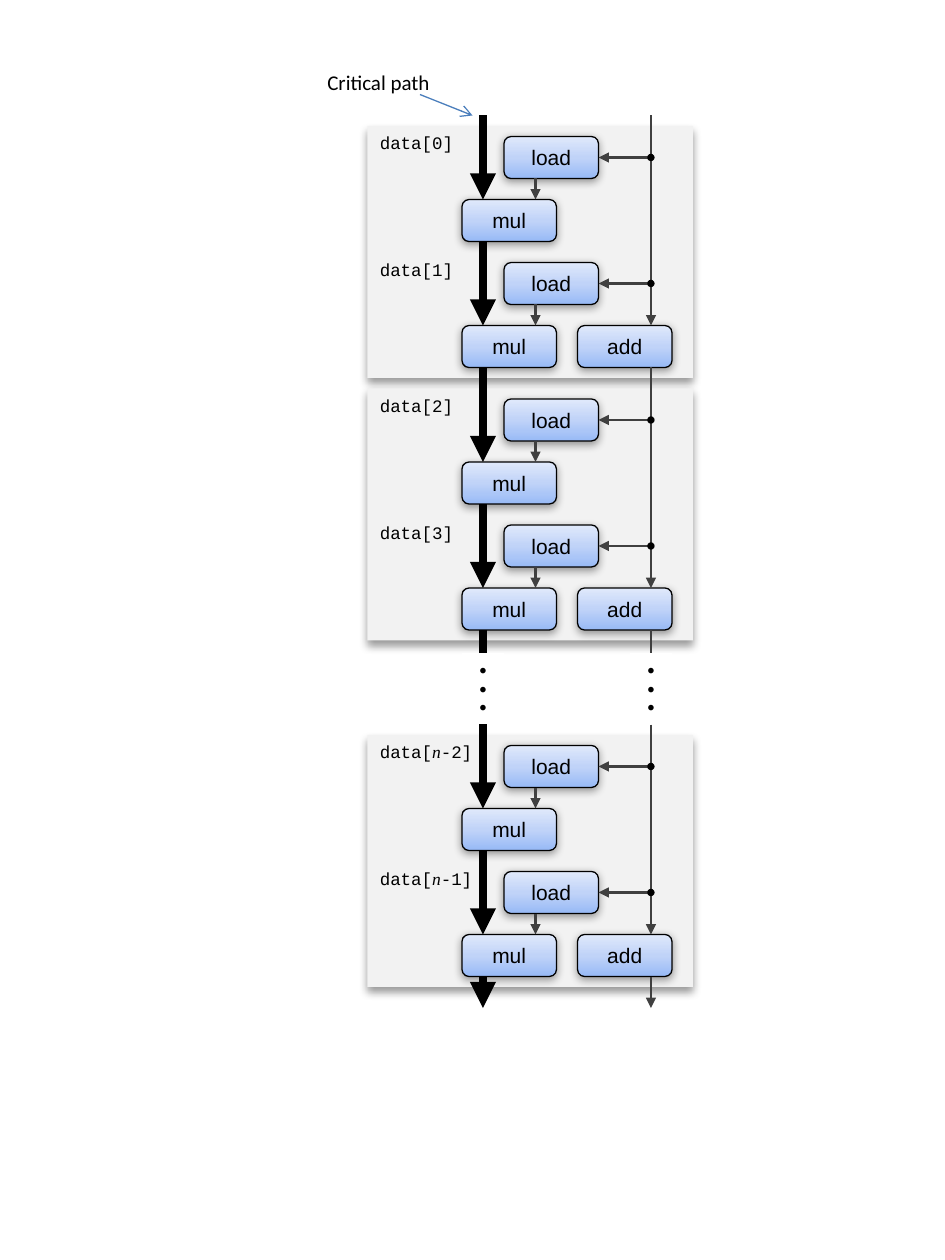
from lxml import etree
from copy import deepcopy
from pptx import Presentation
from pptx.dml.color import RGBColor
from pptx.enum.shapes import MSO_CONNECTOR, MSO_SHAPE
from pptx.enum.text import MSO_ANCHOR, PP_ALIGN
from pptx.oxml.ns import qn
from pptx.util import Inches, Pt

RECT, ROUNDED, OVAL = MSO_SHAPE.RECTANGLE, MSO_SHAPE.ROUNDED_RECTANGLE, MSO_SHAPE.OVAL
STRAIGHT = MSO_CONNECTOR.STRAIGHT
LEFT, CENTER = PP_ALIGN.LEFT, PP_ALIGN.CENTER
TOP, MIDDLE = MSO_ANCHOR.TOP, MSO_ANCHOR.MIDDLE
RIGHT_SIDE = 3

COLORS = {
    "black": "000000", "white": "FFFFFF", "panel": "F2F2F2",
    "flow": "404040", "callout": "4B7EBC",
    "op_low": "98BAF6", "op_mid": "C0D3F8", "op_high": "E0E9FB",
}
RGB = {name: RGBColor.from_string(value) for name, value in COLORS.items()}

CELL = Inches(1) // 12
CRITICAL, FEED, INDEX = 46, 51, 62
OP_WIDTH, OP_HEIGHT = 9, 4
DOT = 0.7

deck = Presentation()
deck.slide_width, deck.slide_height = 90 * CELL, 120 * CELL
slide = deck.slides.add_slide(deck.slide_layouts[6])


def draw_box(kind, col, row, cols, rows, fill, lines=(), font="Arial", size=12,
             align=CENTER, anchor=MIDDLE, shadow=None):
    box = slide.shapes.add_shape(kind, *(round(n * CELL) for n in (col, row, cols, rows)))
    box.shadow.inherit = False
    box.line.fill.background()
    box.fill.solid()
    box.fill.fore_color.rgb = RGB[fill]
    if shadow:
        opacity, distance = shadow
        effects = box._element.spPr.find(qn("a:effectLst"))
        outer = etree.SubElement(effects, qn("a:outerShdw"), blurRad=str(Pt(5)),
                                 dist=str(Pt(distance)), dir="5400000", rotWithShape="0")
        tint = etree.SubElement(outer, qn("a:srgbClr"), val=COLORS["black"])
        etree.SubElement(tint, qn("a:alpha"), val=str(opacity * 1000))
    frame = box.text_frame
    frame.word_wrap = True
    frame.vertical_anchor = anchor
    for number, line in enumerate(lines):
        paragraph = frame.add_paragraph() if number else frame.paragraphs[0]
        paragraph.alignment = align
        for text in line:
            run = paragraph.add_run()
            run.text = text
            run.font.italic = text == "n"
            run.font.name = "Times New Roman" if text == "n" else font
            run.font.size = Pt(size)
            run.font.color.rgb = RGB["black"]
    return box


def draw_flow(start, end, color="flow", width=1.5, head="triangle"):
    flow = slide.shapes.add_connector(STRAIGHT, *(n * CELL for n in start + end))
    flow.line.color.rgb = RGB[color]
    flow.line.width = Pt(width)
    etree.SubElement(flow.line._get_or_add_ln(), qn("a:tailEnd"), type=head)
    etree.SubElement(flow._element.spPr, qn("a:effectLst"))
    return flow


draw_flow((40, 9), (45, 11), "callout", 0.75, "arrow")
callout = slide.shapes.add_textbox(30 * CELL, 6 * CELL, 13 * CELL, round(3.6 * CELL))
caption = callout.text_frame.paragraphs[0].add_run()
caption.text = "Critical path"
caption.font.name = "Calibri"
caption.font.size = Pt(12)
caption.font.color.rgb = RGB["black"]

iterations = [
    (12, 11, 11, [["data[0]"], ["data[1]"]]),
    (37, 35, 35, [["data[2]"], ["data[3]"]]),
    (70, 60, 69, [["data[", "n", "-2]"], ["data[", "n", "-1]"]]),
]
for top, critical_start, index_start, elements in iterations:
    panel = draw_box(RECT, 35, top, 31, 24, "panel", elements, "Courier New", 10,
                     LEFT, TOP, (40, 3))
    panel.text_frame.paragraphs[1].space_before = Pt(60.7)

    operations = [("load", 48, 1), ("mul", 44, 7), ("load", 48, 13), ("mul", 44, 19),
                  ("add", 55, 19)]
    loads = []
    for name, col, offset in operations:
        operation = draw_box(ROUNDED, col, top + offset, OP_WIDTH, OP_HEIGHT, "op_mid",
                             [[name]], shadow=(38, 1.6))
        operation.line.color.rgb = RGB["black"]
        operation.line.width = Pt(0.75)
        operation.fill.gradient()
        operation.fill.gradient_angle = 90
        stops = operation._element.spPr.find(".//" + qn("a:gsLst"))
        stops.append(deepcopy(stops[0]))
        for stop, position, shade in zip(operation.fill.gradient_stops, (0, 0.5, 1),
                                         ("op_low", "op_mid", "op_high")):
            stop.position = position
            stop.color.rgb = RGB[shade]
        if name == "load":
            loads.append(operation)

    draw_flow((INDEX, index_start), (INDEX, top + 19))
    for load, load_top, source in zip(loads, (top + 1, top + 13), (critical_start, top + 11)):
        draw_flow((CRITICAL, source), (CRITICAL, load_top + 6), "black", 5)
        draw_flow((FEED, load_top + OP_HEIGHT), (FEED, load_top + 6))
        address = draw_flow((INDEX, load_top + 2), (57, load_top + 2))
        address.end_connect(load, RIGHT_SIDE)
        draw_box(OVAL, INDEX - DOT / 2, load_top + 2 - DOT / 2, DOT, DOT, "black")

draw_flow((INDEX, 60), (INDEX, 66))
draw_flow((CRITICAL, 93), (CRITICAL, 96), "black", 5)
draw_flow((INDEX, 93), (INDEX, 96))
for lane in (CRITICAL, INDEX):
    draw_box(RECT, lane - 2, 62.2, 4, 6.75, "white", [["•"]] * 3, "Calibri", 9, anchor=TOP)

deck.save("out.pptx")
